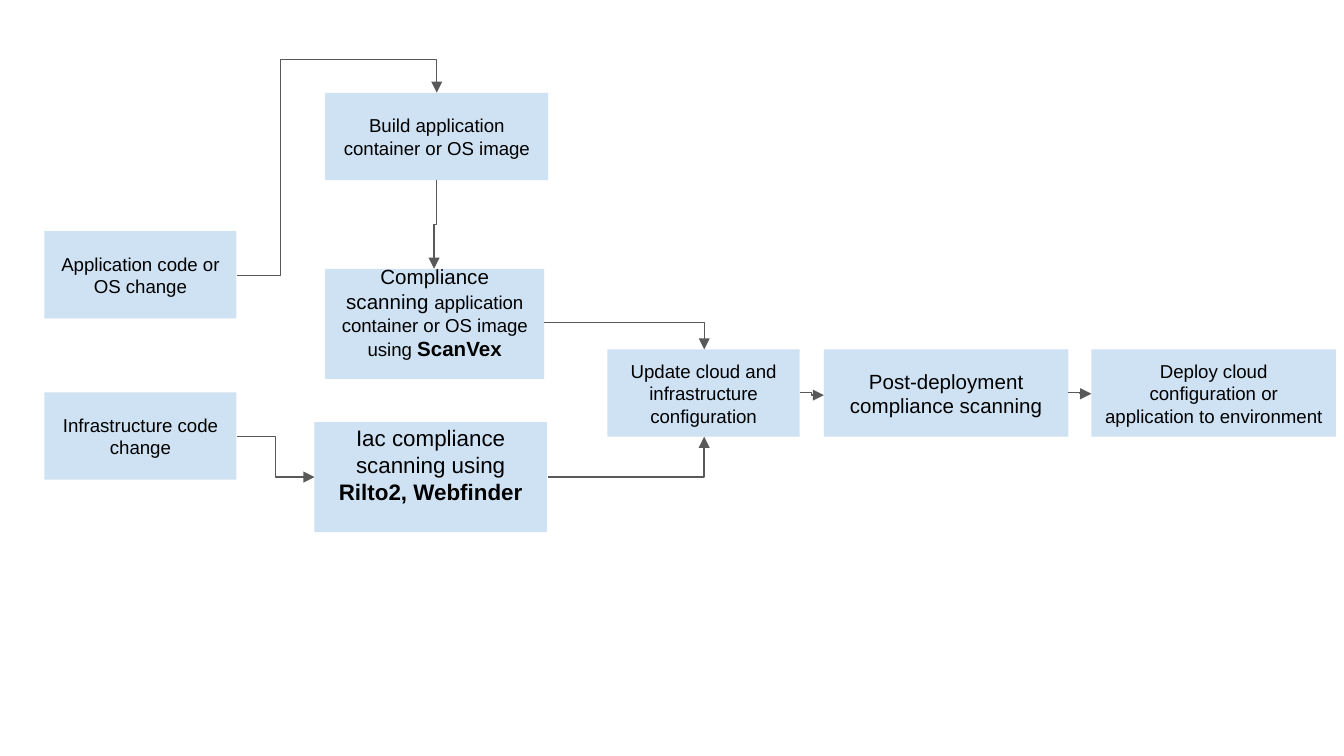
from pptx import Presentation
from pptx.dml.color import RGBColor
from pptx.enum.shapes import MSO_CONNECTOR, MSO_SHAPE
from pptx.enum.text import MSO_ANCHOR, PP_ALIGN
from pptx.oxml.ns import qn
from pptx.util import Inches, Pt
from lxml import etree

COLORS = {"box": "CFE2F3", "line": "595959", "text": "000000"}

# Widescreen 16:9 slide
prs = Presentation()
prs.slide_width = Inches(10)
prs.slide_height = Inches(10 * 9 / 16)
s = prs.slides.add_slide(prs.slide_layouts[6])

# Steps: left, top, width, height, (top, bottom) insets, runs of (text, size, bold)
EVEN = (0.1, 0.1)
steps = [
    (0.33, 1.72, 1.43, 0.65, EVEN, [("Application code or OS change", 10, False)]),
    (0.33, 2.92, 1.43, 0.65, EVEN, [("Infrastructure code change", 10, False)]),
    (2.42, 0.69, 1.66, 0.65, EVEN,
     [("Build application container or OS image", 10, False)]),
    (2.42, 2, 1.63, 0.82, (0, 0.17),
     [("Compliance scanning ", 11, False),
      ("application container or OS image using ", 10, False),
      ("ScanVex", 11, True)]),
    (2.34, 3.14, 1.73, 0.82, (0, 0.19),
     [("Iac compliance scanning using ", 12, False),
      ("Rilto2, Webfinder", 12, True)]),
    (4.52, 2.6, 1.43, 0.65, EVEN,
     [("Update cloud and infrastructure configuration", 10, False)]),
    (6.13, 2.6, 1.82, 0.65, EVEN,
     [("Post-deployment compliance scanning", 11, False)]),
    (8.12, 2.6, 1.82, 0.65, EVEN,
     [("Deploy cloud configuration or application to environment", 10, False)]),
]
for left, top, width, height, (inset_top, inset_bottom), runs in steps:
    sp = s.shapes.add_shape(MSO_SHAPE.RECTANGLE, Inches(left), Inches(top),
                            Inches(width), Inches(height))
    sp.shadow.inherit = False
    sp.fill.solid()
    sp.fill.fore_color.rgb = RGBColor.from_string(COLORS["box"])
    sp.line.fill.background()
    tf = sp.text_frame
    tf.word_wrap = True
    tf.vertical_anchor = MSO_ANCHOR.MIDDLE
    tf.margin_left = tf.margin_right = Inches(0.1)
    tf.margin_top, tf.margin_bottom = Inches(inset_top), Inches(inset_bottom)
    p = tf.paragraphs[0]
    p.alignment = PP_ALIGN.CENTER
    for text, size, bold in runs:
        r = p.add_run()
        r.text = text
        r.font.name, r.font.size, r.font.bold = "Arial", Pt(size), bold
        r.font.color.rgb = RGBColor.from_string(COLORS["text"])

# Arrows: start, end, bent connector type, bend positions, rotation in degrees
arrows = [
    ((1.76, 2.05), (3.25, 0.69), 4, (0.22, 1.18), 0),
    ((1.76, 3.25), (2.34, 3.55), 3, (0.5,), 0),
    ((2.91, 1.66), (3.57, 1.68), 3, (0.5,), 90),
    ((4.05, 2.4), (5.24, 2.6), 2, (), 0),
    ((4.08, 3.55), (5.24, 3.25), 2, (), 0),
    ((5.95, 2.92), (6.13, 2.94), 3, (0.5,), 0),
    ((7.95, 2.92), (8.12, 2.93), 3, (0.5,), 0),
]
for (x1, y1), (x2, y2), bend, adjusts, rotation in arrows:
    cx = s.shapes.add_connector(MSO_CONNECTOR.ELBOW, Inches(x1), Inches(y1),
                                Inches(x2), Inches(y2))
    cx.line.width = Pt(0.75)
    cx.line.color.rgb = RGBColor.from_string(COLORS["line"])
    spPr = cx._element.spPr
    if rotation:
        spPr.find(qn("a:xfrm")).set("rot", str(rotation * 60000))
    geom = spPr.find(qn("a:prstGeom"))
    geom.set("prst", f"bentConnector{bend}")
    for old in list(geom):
        geom.remove(old)
    guides = etree.SubElement(geom, qn("a:avLst"))
    for i, value in enumerate(adjusts, 1):
        etree.SubElement(guides, qn("a:gd"), name=f"adj{i}",
                         fmla=f"val {round(value * 100000)}")
    etree.SubElement(spPr.find(qn("a:ln")), qn("a:tailEnd"), type="triangle")
    etree.SubElement(spPr, qn("a:effectLst"))

prs.save("out.pptx")
